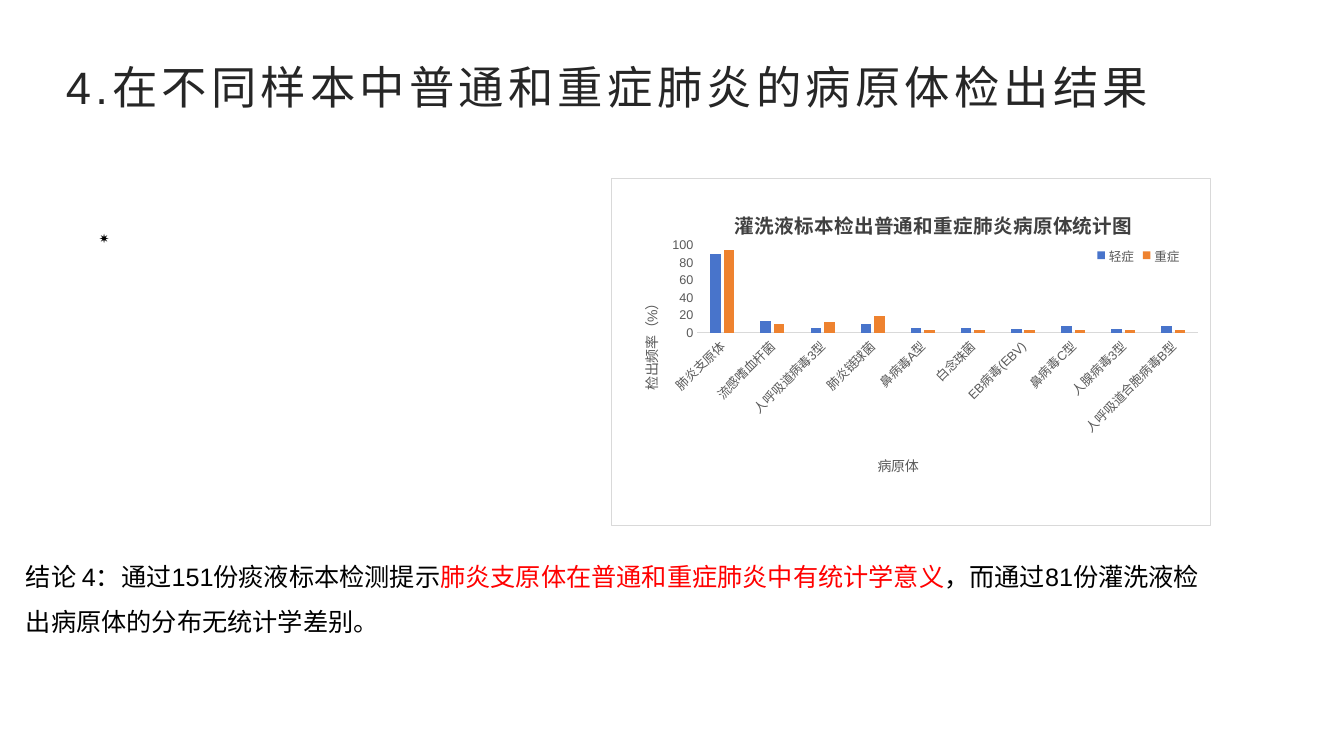
"""Build the slide on pathogen detection in mild and severe pneumonia."""
from pptx import Presentation
from pptx.chart.data import CategoryChartData
from pptx.dml.color import RGBColor
from pptx.enum.chart import XL_CHART_TYPE as ChartType, XL_LEGEND_POSITION as LegendPosition
from pptx.enum.chart import XL_TICK_MARK as TickMark
from pptx.enum.text import MSO_ANCHOR as Anchor
from pptx.oxml import parse_xml
from pptx.oxml.ns import nsdecls
from pptx.util import Pt

BLACK = RGBColor(0x00, 0x00, 0x00)
RED = RGBColor(0xFF, 0x00, 0x00)
HEADING = RGBColor(0x26, 0x26, 0x26)
CHART_HEADING = RGBColor(0x40, 0x40, 0x40)
GREY = RGBColor(0x59, 0x59, 0x59)
PALE_GREY = RGBColor(0xD9, 0xD9, 0xD9)
WHITE = RGBColor(0xFF, 0xFF, 0xFF)
BLUE = RGBColor(0x48, 0x74, 0xCB)
ORANGE = RGBColor(0xEE, 0x82, 0x2F)

LATIN, SYMBOL = "Arial", "Noto Sans CJK SC"
EMU_PER_PX = 914400 / 100.8
SLIDE_SIZE = (1344, 756)

TEXTS = [
    {"box": (56, 47, 1131, 78), "size": 32.4, "font": LATIN, "spacing": 300,
     "frame": {"word_wrap": True, "vertical_anchor": Anchor.MIDDLE}, "lines": 1,
     "runs": [("4.在不同样本中普通和重症肺炎的病原体检出结果", HEADING)]},
    {"box": (89, 226, 53, 40), "size": 9, "font": SYMBOL, "spacing": 0,
     "frame": {"word_wrap": False}, "lines": 1, "runs": [("✷", BLACK)]},
    {"box": (16, 541, 1207, 102), "size": 18, "font": LATIN, "spacing": 0,
     "frame": {"word_wrap": True}, "lines": 1.5,
     "runs": [("结论 4：通过151份痰液标本检测提示", BLACK),
              ("肺炎支原体在普通和重症肺炎中有统计学意义", RED),
              ("，而通过81份灌洗液检出病原体的分布无统计学差别。", BLACK)]},
]

CHART_BOX = (611, 178, 600, 348)
CHART_TITLE = "灌洗液标本检出普通和重症肺炎病原体统计图"
PATHOGENS = ["肺炎支原体", "流感嗜血杆菌", "人呼吸道病毒3型", "肺炎链球菌", "鼻病毒A型",
             "白念珠菌", "EB病毒(EBV)", "鼻病毒C型", "人腺病毒3型", "人呼吸道合胞病毒B型"]
SERIES = [
    ("轻症", [90, 14, 6, 10, 6, 6, 4, 8, 4, 8], BLUE),
    ("重症", [94, 10, 13, 19, 3, 3, 3, 3, 3, 3], ORANGE),
]
CHART_LAYOUT = {
    "c:chart/c:title": (731, 204),
    "c:chart/c:plotArea": (697, 245, 502, 88),
    ".//c:catAx/c:title": (875, 452),
    ".//c:valAx/c:title": (637, 294),
    "c:chart/c:legend": (1093, 245, 92, 20),
}
ROTATIONS = {".//c:catAx/c:txPr/a:bodyPr": -45, ".//c:valAx/c:title//a:bodyPr": -90}


def emu(box):
    return [round(length * EMU_PER_PX) for length in box]


def set_all(target, values):
    for name, value in values.items():
        setattr(target, name, value)


def format_font(font, size, color, name=LATIN, bold=False):
    set_all(font, {"size": Pt(size), "name": name, "bold": bold})
    font.color.rgb = color


def add_text(slide, item):
    frame = slide.shapes.add_textbox(*emu(item["box"])).text_frame
    set_all(frame, item["frame"])
    paragraph = frame.paragraphs[0]
    paragraph.line_spacing = item["lines"]
    for text, color in item["runs"]:
        run = paragraph.add_run()
        run.text = text
        format_font(run.font, item["size"], color, item["font"])
        if item["spacing"]:
            run.font._element.set("spc", str(item["spacing"]))


def set_title(owner, text, size, color, bold=False):
    run = owner.text_frame.paragraphs[0].add_run()
    run.text = text
    format_font(run.font, size, color, bold=bold)


def place(element, box):
    left, top, width, height = CHART_BOX
    fractions = [(box[0] - left) / width, (box[1] - top) / height]
    fractions += [length / full for length, full in zip(box[2:], (width, height))]
    parts = "".join(f'<c:{key}Mode val="edge"/>' for key in "xy")
    parts += "".join(f'<c:{key} val="{value:.4f}"/>' for key, value in zip("xywh", fractions))
    is_plot = element.tag.endswith("plotArea")
    target = '<c:layoutTarget val="inner"/>' if is_plot else ""
    layout = parse_xml(f'<c:layout {nsdecls("c")}><c:manualLayout>{target}{parts}'
                       '</c:manualLayout></c:layout>')
    for old in element.xpath("c:layout"):
        element.remove(old)
    if is_plot:
        element.insert(0, layout)
    else:
        element.xpath("c:overlay")[0].addprevious(layout)


def add_pathogen_chart(slide):
    data = CategoryChartData()
    data.categories = PATHOGENS
    for name, values, _ in SERIES:
        data.add_series(name, values)
    chart = slide.shapes.add_chart(ChartType.COLUMN_CLUSTERED, *emu(CHART_BOX), data).chart
    format_font(chart.font, 10, BLACK)
    chart.has_title = chart.has_legend = True
    set_title(chart.chart_title, CHART_TITLE, 14, CHART_HEADING, bold=True)
    set_all(chart.legend, {"position": LegendPosition.BOTTOM, "include_in_layout": False})
    format_font(chart.legend.font, 9, GREY)

    plot = chart.plots[0]
    set_all(plot, {"gap_width": 246, "overlap": -28, "vary_by_categories": False})
    for series, (_, _, color) in zip(plot.series, SERIES):
        series.format.fill.solid()
        series.format.fill.fore_color.rgb = color

    category_axis, value_axis = chart.category_axis, chart.value_axis
    for axis, title in ((category_axis, "病原体"), (value_axis, "检出频率（%）")):
        set_all(axis, {"has_major_gridlines": False, "major_tick_mark": TickMark.NONE,
                       "minor_tick_mark": TickMark.NONE, "has_title": True})
        set_title(axis.axis_title, title, 10, GREY)
        format_font(axis.tick_labels.font, 9, GREY)
    set_all(value_axis, {"minimum_scale": 0, "maximum_scale": 100, "major_unit": 20})
    value_axis.format.line.fill.background()
    category_axis.format.line.color.rgb = PALE_GREY
    category_axis.format.line.width = Pt(0.75)

    chart_space = chart._chartSpace
    for query, box in CHART_LAYOUT.items():
        place(chart_space.xpath(query)[0], box)
    for query, degrees in ROTATIONS.items():
        set_body = chart_space.xpath(query)[0].set
        set_body("rot", str(degrees * 60000))
        set_body("vert", "horz")
    fill, border = (f'<a:solidFill><a:srgbClr val="{color}"/></a:solidFill>'
                    for color in (WHITE, PALE_GREY))
    chart_space.xpath("c:chart")[0].addnext(parse_xml(
        f'<c:spPr {nsdecls("c", "a")}>{fill}<a:ln w="{Pt(0.75)}">{border}</a:ln></c:spPr>'))


def main():
    presentation = Presentation()
    presentation.slide_width, presentation.slide_height = emu(SLIDE_SIZE)
    slide = presentation.slides.add_slide(presentation.slide_layouts[6])
    heading, marker, conclusion = TEXTS
    add_text(slide, heading)
    add_pathogen_chart(slide)
    add_text(slide, marker)
    add_text(slide, conclusion)
    presentation.save("out.pptx")


if __name__ == "__main__":
    main()
